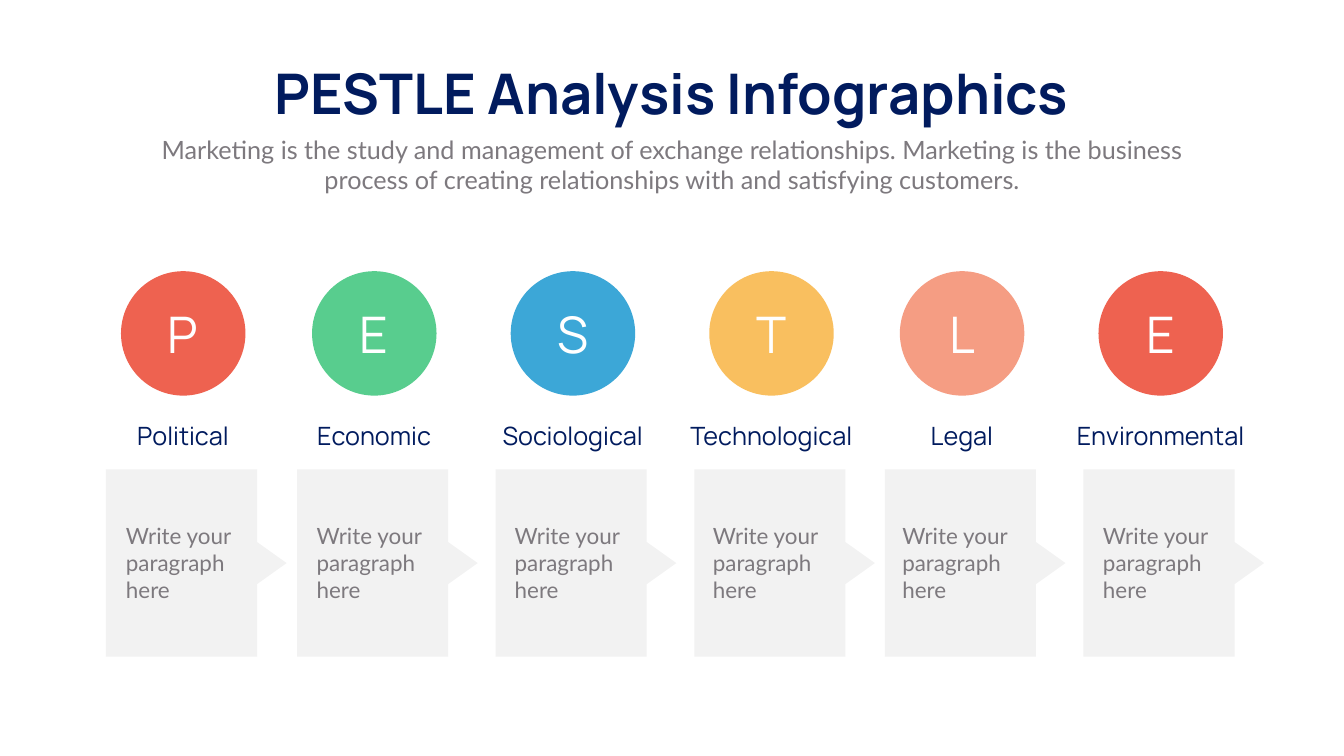
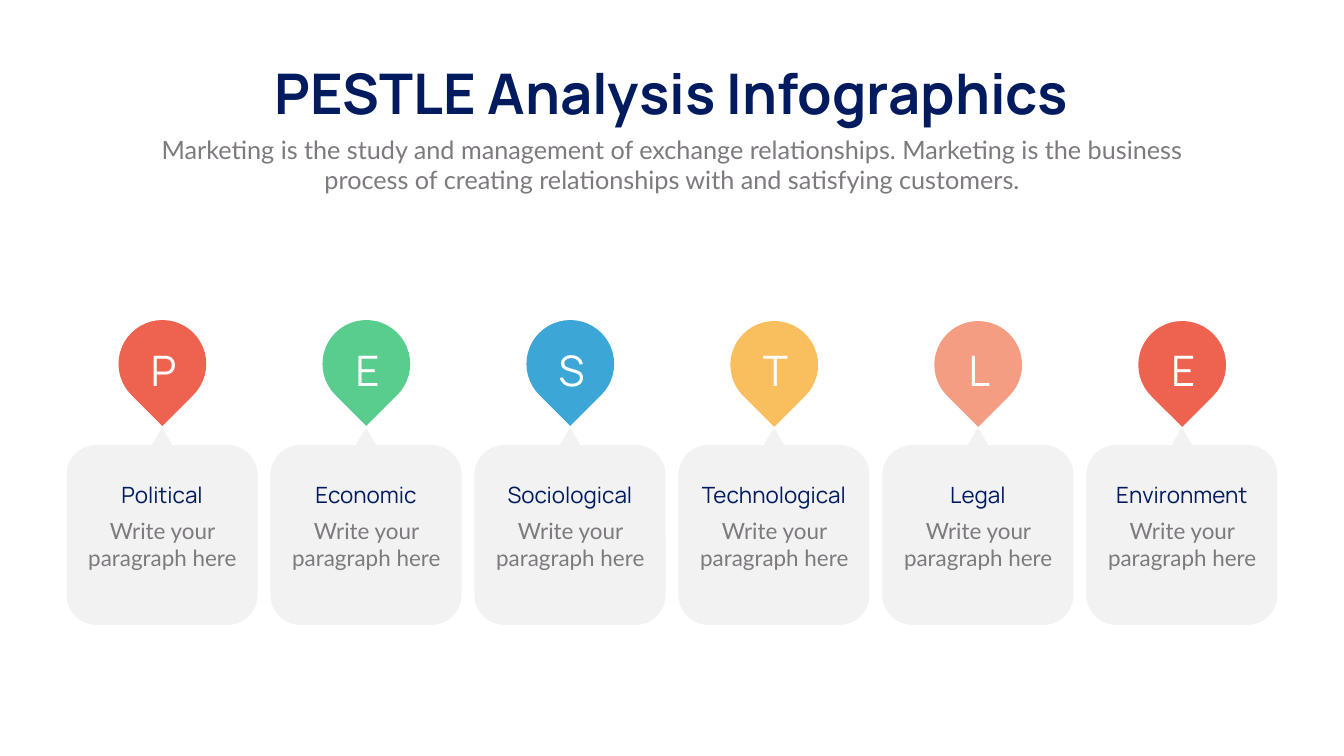
from lxml import etree
from pptx import Presentation
from pptx.dml.color import RGBColor
from pptx.enum.shapes import MSO_SHAPE
from pptx.enum.text import MSO_ANCHOR, MSO_AUTO_SIZE, PP_ALIGN
from pptx.oxml.ns import qn
from pptx.util import Pt

CENTER, LEFT = PP_ALIGN.CENTER, PP_ALIGN.LEFT
MIDDLE = MSO_ANCHOR.MIDDLE
GROW, FIXED = MSO_AUTO_SIZE.SHAPE_TO_FIT_TEXT, MSO_AUTO_SIZE.NONE
OVAL, TEAR = MSO_SHAPE.OVAL, MSO_SHAPE.TEAR
CARD, TRIANGLE = MSO_SHAPE.ROUNDED_RECTANGLE, MSO_SHAPE.ISOSCELES_TRIANGLE

# Shared look and wording
NAVY, GRAY, WHITE = "011B5E", "7D797E", "FFFFFF"
PANEL, SMOKE = "F2F2F2", "808080"
HEAD, BODY = "Manrope", "Lato"
TITLE = "PESTLE Analysis Infographics"
INTRO = (
    "Marketing is the study and management of exchange relationships. "
    "Marketing is the business process of creating relationships "
    "with and satisfying customers."
)
NOTE = "Write your paragraph here"
FACTORS = [
    ("Political", "EE6250"),
    ("Economic", "58CD8E"),
    ("Sociological", "3CA7D7"),
    ("Technological", "F9BF5F"),
    ("Legal", "F59D83"),
    ("Environmental", "EE6250"),
]


def paint(shape, color):
    shape.shadow.inherit = False
    shape.fill.solid()
    shape.fill.fore_color.rgb = RGBColor.from_string(color)
    shape.line.fill.background()


def write(shape, text, size, font, color, align=CENTER, bold=False,
          wrap=True, fit=GROW):
    frame = shape.text_frame
    frame.word_wrap = wrap
    frame.auto_size = fit
    para = frame.paragraphs[0]
    para.alignment = align
    span = para.add_run()
    span.text = text
    span.font.size = Pt(size)
    span.font.name = font
    span.font.bold = bold
    span.font.color.rgb = RGBColor.from_string(color)


deck = Presentation()
deck.slide_width, deck.slide_height = Pt(1919.52), Pt(1080)
pages = [deck.slides.add_slide(deck.slide_layouts[6]) for _ in range(2)]

# Title and introduction on both slides
for page in pages:
    box = page.shapes.add_textbox(Pt(357.12), Pt(80.64), Pt(1205.28), Pt(104.4))
    write(box, TITLE, 80, HEAD, NAVY, bold=True, wrap=False)
    box = page.shapes.add_textbox(Pt(210.24), Pt(187.92), Pt(1499.04), Pt(94.32))
    write(box, INTRO, 36, BODY, GRAY)

circle_page, drop_page = pages

# Slide 1: circles above arrow panels
CIRCLE_LEFTS = [172.8, 445.7, 729.4, 1013, 1285.2, 1568.9]
NOTE_LEFTS = [172.8, 445, 728, 1011, 1281.6, 1568.2]
PANEL_TOP = 670.6
ARROW_POINTS = [(0, 0), (215.7, 0), (215.7, 103.7), (257.9, 133.8),
                (215.7, 163.9), (215.7, 267.5), (0, 267.5)]

for (name, color), left, note_left in zip(FACTORS, CIRCLE_LEFTS, NOTE_LEFTS):
    circle = circle_page.shapes.add_shape(
        OVAL, Pt(left), Pt(387.4), Pt(177.8), Pt(177.8))
    paint(circle, color)
    circle.text_frame.vertical_anchor = MIDDLE
    write(circle, name[0], 72, HEAD, WHITE, fit=FIXED)

    box = circle_page.shapes.add_textbox(
        Pt(left - 69.1), Pt(596.9), Pt(315.4), Pt(51.1))
    write(box, name, 36, HEAD, NAVY)

    # Arrow panel, ten percent opaque
    corners = [(Pt(left - 21.4 + x), Pt(PANEL_TOP + y)) for x, y in ARROW_POINTS]
    outline = circle_page.shapes.build_freeform(*corners[0], scale=1.0)
    outline.add_line_segments(corners[1:], close=True)
    arrow = outline.convert_to_shape()
    paint(arrow, SMOKE)
    tint = arrow.fill._xPr.find(qn("a:solidFill"))[0]
    etree.SubElement(tint, qn("a:alpha"), val="10000")

    box = circle_page.shapes.add_textbox(
        Pt(note_left), Pt(742.3), Pt(177.8), Pt(123.8))
    write(box, NOTE, 32, BODY, GRAY, align=LEFT)

# Slide 2: drops pointing at rounded cards
CARD_LEFT, CARD_STEP = 95, 291.3

for index, (name, color) in enumerate(FACTORS):
    left = CARD_LEFT + index * CARD_STEP
    drop_top = 457.2 if index < 3 else 458.6
    drop = drop_page.shapes.add_shape(
        TEAR, Pt(left + 74.2), Pt(drop_top), Pt(125.3), Pt(125.3))
    drop.rotation = 135
    paint(drop, color)

    card = drop_page.shapes.add_shape(
        CARD, Pt(left), Pt(635.8), Pt(272.9), Pt(257))
    paint(card, PANEL)
    pointer = drop_page.shapes.add_shape(
        TRIANGLE, Pt(left + 114.5), Pt(610.6), Pt(43.9), Pt(38.2))
    paint(pointer, PANEL)

    box = drop_page.shapes.add_textbox(
        Pt(left + 84), Pt(488.2), Pt(109.4), Pt(79.9))
    write(box, name[0], 60, HEAD, WHITE)
    box = drop_page.shapes.add_textbox(
        Pt(left + 11.9), Pt(683.3), Pt(249.1), Pt(46.1))
    write(box, name.removesuffix("al") if index == 5 else name, 32, HEAD, NAVY)
    box = drop_page.shapes.add_textbox(
        Pt(left + 21.4), Pt(735.1), Pt(231.1), Pt(85))
    write(box, NOTE, 32, BODY, GRAY)

deck.save("out.pptx")
